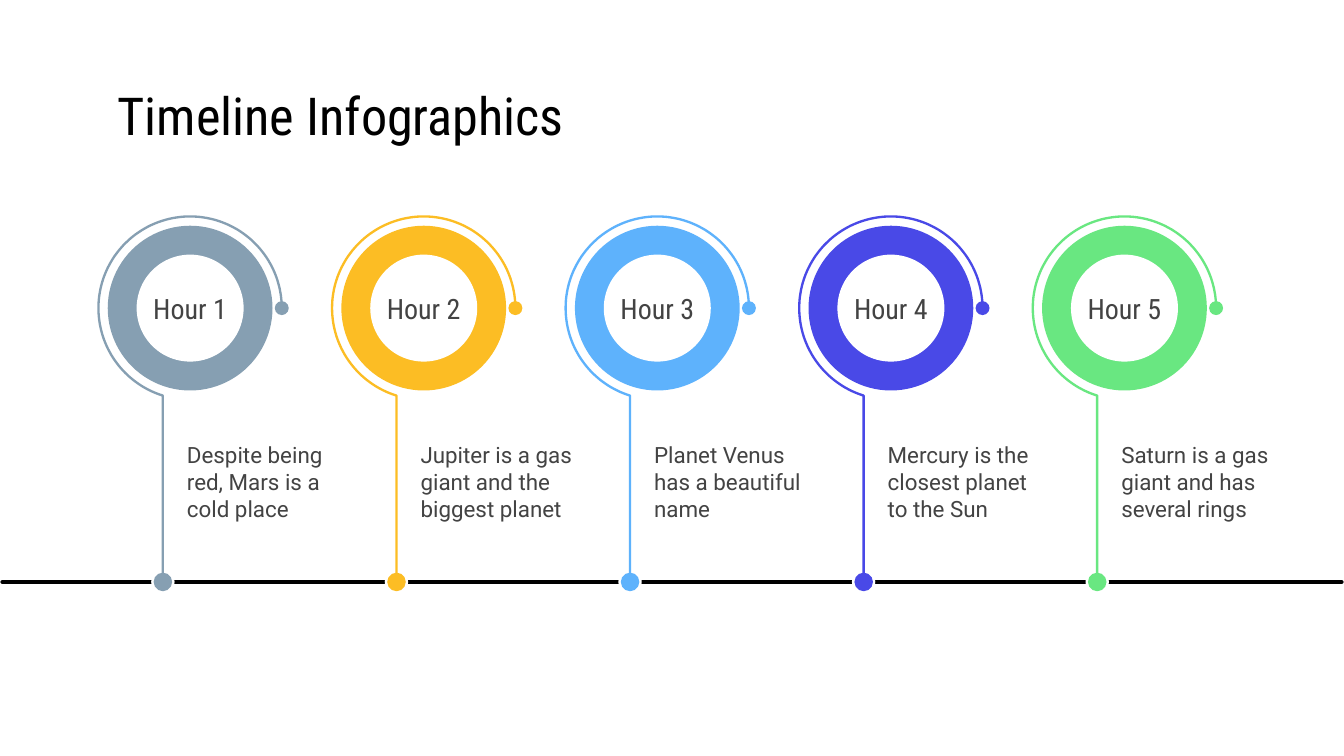
from math import acos, cos, pi, sin

from pptx import Presentation
from pptx.dml.color import RGBColor as RGB
from pptx.enum.shapes import MSO_CONNECTOR as Connector, MSO_SHAPE as Preset
from pptx.enum.text import MSO_ANCHOR as Anchor, PP_ALIGN as Align
from pptx.oxml.ns import qn
from pptx.util import Inches, Pt

WHITE = RGB(0xFF, 0xFF, 0xFF)
BLACK = RGB(0x00, 0x00, 0x00)
GREY = RGB(0x43, 0x43, 0x43)
SLATE = RGB(0x86, 0x9F, 0xB2)
AMBER = RGB(0xFC, 0xBD, 0x24)
SKY = RGB(0x5E, 0xB2, 0xFC)
INDIGO = RGB(0x49, 0x49, 0xE7)
GREEN = RGB(0x69, 0xE7, 0x81)

COLUMNS, ROWS = 100, 56.25
FIRST_CENTRE, PITCH = 14.15, 17.38
RING_ROW, AXIS_ROW = 22.93, 43.3
ORBIT, STEM_OFFSET = 6.82, 2.03

HOURS = [
    ("Hour 1", "Despite being red, Mars is a cold place", SLATE),
    ("Hour 2", "Jupiter is a gas giant and the biggest planet", AMBER),
    ("Hour 3", "Planet Venus has a beautiful name", SKY),
    ("Hour 4", "Mercury is the closest planet to the Sun", INDIGO),
    ("Hour 5", "Saturn is a gas giant and has several rings", GREEN),
]


def write_text(frame, text, size=12, font="Roboto", color=GREY,
               align=Align.LEFT, margin=0.1, wrap=True):
    frame.word_wrap = wrap
    frame.vertical_anchor = Anchor.MIDDLE
    frame.margin_left = frame.margin_right = Inches(margin)
    frame.margin_top = frame.margin_bottom = Inches(margin)
    paragraph = frame.paragraphs[0]
    paragraph.alignment = align
    run = paragraph.add_run()
    run.text = text
    run.font.size = Pt(size)
    run.font.name = font
    run.font.color.rgb = color


class TimelineSlide:
    """Draws timeline parts on a grid of 100 columns by 56.25 rows."""

    heading_font = "Roboto Condensed"
    orbit_width = Pt(1.25)
    axis_width = Pt(2.5)

    def __init__(self, deck):
        self.slide = deck.slides.add_slide(deck.slide_layouts[5])
        self.shapes = self.slide.shapes
        self.column = deck.slide_width / COLUMNS
        self.row = deck.slide_height / ROWS

    def place(self, column, row):
        return round(column * self.column), round(row * self.row)

    def title(self, text, left, top, width, height):
        heading = self.shapes.title
        heading.left, heading.top = self.place(left, top)
        heading.width, heading.height = self.place(width, height)
        write_text(heading.text_frame, text, size=28, font=self.heading_font, color=BLACK)

    def axis(self, row):
        line = self.shapes.add_connector(
            Connector.STRAIGHT, *self.place(0.2, row), *self.place(COLUMNS - 0.2, row))
        line.line.color.rgb = BLACK
        line.line.width = self.axis_width
        line.line._get_or_add_ln().set("cap", "rnd")
        properties = line._element.spPr
        properties.append(properties.makeelement(qn("a:effectLst"), {}))

    def disc(self, centre, row, diameter, color):
        radius = diameter / 2
        disc = self.shapes.add_shape(
            Preset.OVAL, *self.place(centre - radius, row - radius),
            *self.place(diameter, diameter))
        disc.shadow.inherit = False
        disc.fill.solid()
        disc.fill.fore_color.rgb = color
        disc.line.fill.background()
        return disc

    def dot(self, centre, row, halo, diameter, color):
        self.disc(centre, row, halo, WHITE)
        self.disc(centre, row, diameter, color)

    def orbit(self, centre, color):
        sweep = 2 * pi - acos(-STEM_OFFSET / ORBIT)
        steps = 120
        arc = [self.place(centre + ORBIT * cos(sweep * step / steps),
                          RING_ROW - ORBIT * sin(sweep * step / steps))
               for step in range(steps + 1)]
        stem_foot = self.place(centre - STEM_OFFSET, AXIS_ROW)
        builder = self.shapes.build_freeform(*arc[0])
        builder.add_line_segments(arc[1:] + [stem_foot], close=False)
        orbit = builder.convert_to_shape()
        orbit.shadow.inherit = False
        orbit.fill.background()
        orbit.line.color.rgb = color
        orbit.line.width = self.orbit_width

    def ring(self, centre, label, color):
        self.disc(centre, RING_ROW, 12.26, color)
        hole = self.disc(centre, RING_ROW, 7.96, WHITE)
        write_text(hole.text_frame, label, size=15, font=self.heading_font,
                   align=Align.CENTER, margin=0, wrap=False)

    def caption(self, left, text):
        caption = self.shapes.add_textbox(*self.place(left, 32), *self.place(13.6, 7.7))
        write_text(caption.text_frame, text)

    def hour(self, centre, label, fact, color):
        self.dot(centre + ORBIT, RING_ROW, 1.3, 1.04, color)
        self.dot(centre - STEM_OFFSET, AXIS_ROW, 1.74, 1.38, color)
        self.orbit(centre, color)
        self.ring(centre, label, color)
        self.caption(centre - 1.22, fact)


def main():
    deck = Presentation()
    deck.slide_width, deck.slide_height = Inches(10), Inches(5.625)
    timeline = TimelineSlide(deck)
    timeline.title("Timeline Infographics", 7.75, 5.9, 84.5, 5.3)
    timeline.axis(AXIS_ROW)
    for index, (label, fact, color) in enumerate(HOURS):
        timeline.hour(FIRST_CENTRE + index * PITCH, label, fact, color)
    deck.save("out.pptx")


if __name__ == "__main__":
    main()
